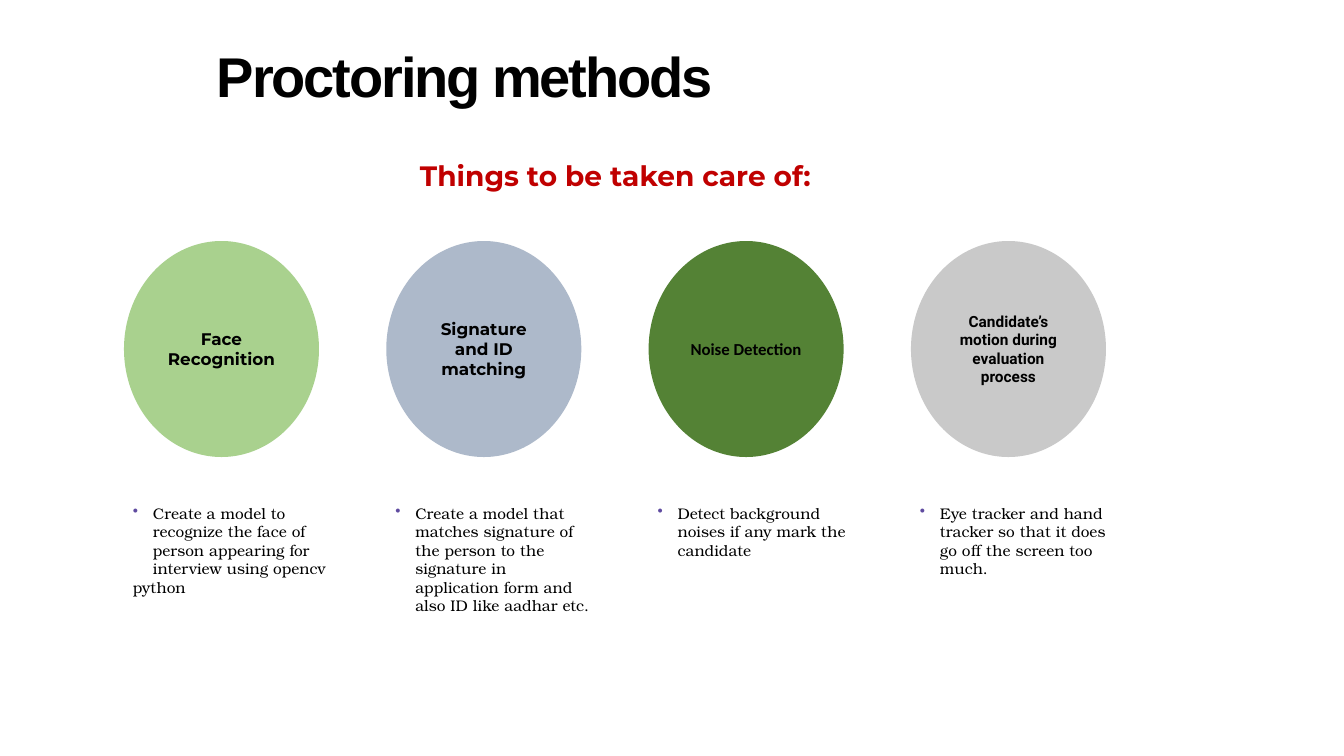
"""Builds the slide on proctoring methods."""
from dataclasses import dataclass

import pptx
import pptx.dml.color
import pptx.enum.shapes
import pptx.enum.text
import pptx.oxml.ns
import pptx.shapes.autoshape
import pptx.slide
import pptx.text.text
import pptx.util

EMU_PER_PIXEL = 914400 / 100.8
BLACK, RED, PURPLE = "000000", "C00000", "5F4BA0"
CIRCLE_LEFT, CIRCLE_TOP, CIRCLE_WIDTH, CIRCLE_HEIGHT = 124, 241, 195, 216
NOTE_OFFSET, NOTE_TOP, NOTE_INDENT = 9, 504, 20
THREE_STEPS = 787  # distance from the first circle to the fourth
ALIGN = pptx.enum.text.PP_ALIGN
ANCHOR = pptx.enum.text.MSO_ANCHOR


@dataclass
class Method:
    """A proctoring method: its circle and the note below it."""
    label: str
    fill: str
    font: str
    size: int
    note: str
    ending: str = ""


METHODS = [
    Method("Face Recognition", "A9D18E", "Montserrat", 12,
           "Create a model to recognize the face of person appearing for "
           "interview using opencv", "python"),
    Method("Signature and ID matching", "ADB9CA", "Montserrat", 12,
           "Create a model that matches signature of the person to the signature "
           "in application form and also ID like aadhar etc."),
    Method("Noise Detection", "548235", "Calibri", 12,
           "Detect background noises if any mark the candidate"),
    Method("Candidate’s motion during evaluation process", "C9C9C9", "Roboto", 11,
           "Eye tracker and hand tracker so that it does go off the screen too much."),
]


def px(pixels: float) -> pptx.util.Emu:
    """Turn pixels into EMU."""
    return pptx.util.Emu(round(pixels * EMU_PER_PIXEL))


def color(value: str) -> pptx.dml.color.RGBColor:
    """Turn a hex string into a colour."""
    return pptx.dml.color.RGBColor.from_string(value)


def add_text(para: pptx.text.text._Paragraph, text: str, *, font: str, size: int,
             ink: str = BLACK, bold: bool = False, align: ALIGN = ALIGN.LEFT,
             gap: float = 0, tracking: float = 0) -> None:
    """Write formatted text into a paragraph; gap and tracking are in points."""
    para.alignment = align
    para.space_before = para.space_after = pptx.util.Pt(gap)
    span = para.add_run()
    span.text = text
    span.font.name, span.font.size = font, pptx.util.Pt(size)
    span.font.bold = bold
    span.font.color.rgb = color(ink)
    if tracking:
        span.font._element.set("spc", str(round(tracking * 100)))


def add_bullet(para: pptx.text.text._Paragraph) -> None:
    """Give a paragraph a purple bullet and a hanging indent."""
    props = para._p.get_or_add_pPr()
    props.set("marL", str(px(NOTE_INDENT)))
    props.set("indent", str(-px(NOTE_INDENT)))
    tint = props.makeelement(pptx.oxml.ns.qn("a:buClr"), {})
    tint.append(tint.makeelement(pptx.oxml.ns.qn("a:srgbClr"), {"val": PURPLE}))
    mark = props.makeelement(pptx.oxml.ns.qn("a:buChar"), {"char": "•"})
    props.extend([tint, mark])


def set_frame(shape: pptx.shapes.autoshape.Shape, inset: int,
              anchor: ANCHOR) -> pptx.text.text.TextFrame:
    """Set wrapping, insets and anchor of a shape's text."""
    frame = shape.text_frame
    frame.word_wrap = True
    frame.vertical_anchor = anchor
    frame.margin_left = frame.margin_right = px(inset)
    frame.margin_top = frame.margin_bottom = px(inset)
    return frame


def add_box(page: pptx.slide.Slide, left: float, top: int, width: int, height: int,
            anchor: ANCHOR = ANCHOR.TOP) -> pptx.text.text.TextFrame:
    """Add a text box without insets."""
    box = page.shapes.add_textbox(px(left), px(top), px(width), px(height))
    return set_frame(box, 0, anchor)


def add_method(page: pptx.slide.Slide, method: Method, left: float) -> None:
    """Draw a method's labelled circle and its note."""
    circle = page.shapes.add_shape(
        pptx.enum.shapes.MSO_SHAPE.OVAL,
        px(left), px(CIRCLE_TOP), px(CIRCLE_WIDTH), px(CIRCLE_HEIGHT))
    circle.shadow.inherit = False
    circle.fill.solid()
    circle.fill.fore_color.rgb = color(method.fill)
    circle.line.fill.background()
    label = set_frame(circle, 9, ANCHOR.MIDDLE)
    add_text(label.paragraphs[0], method.label, font=method.font, size=method.size,
             bold=True, align=ALIGN.CENTER)

    note = add_box(page, left + NOTE_OFFSET, NOTE_TOP, CIRCLE_WIDTH, 120)
    add_text(note.paragraphs[0], method.note, font="TeX Gyre Bonum", size=11)
    add_bullet(note.paragraphs[0])
    if method.ending:
        add_text(note.add_paragraph(), method.ending, font="TeX Gyre Bonum", size=11)


def main() -> None:
    """Build and save the deck."""
    deck = pptx.Presentation()
    deck.slide_width, deck.slide_height = px(1344), px(756)
    page = deck.slides.add_slide(deck.slide_layouts[6])

    title = add_box(page, 217, 25, 729, 101, ANCHOR.MIDDLE)
    add_text(title.paragraphs[0], "Proctoring methods", font="Arial", size=40,
             bold=True, tracking=-1.5)
    heading = add_box(page, 99, 159, 1033, 37)
    add_text(heading.paragraphs[0], "Things to be taken care of:", font="Montserrat",
             size=20, ink=RED, bold=True, align=ALIGN.CENTER, gap=2)

    for index, method in enumerate(METHODS):
        add_method(page, method, CIRCLE_LEFT + index * THREE_STEPS / 3)
    deck.save("out.pptx")


main()
